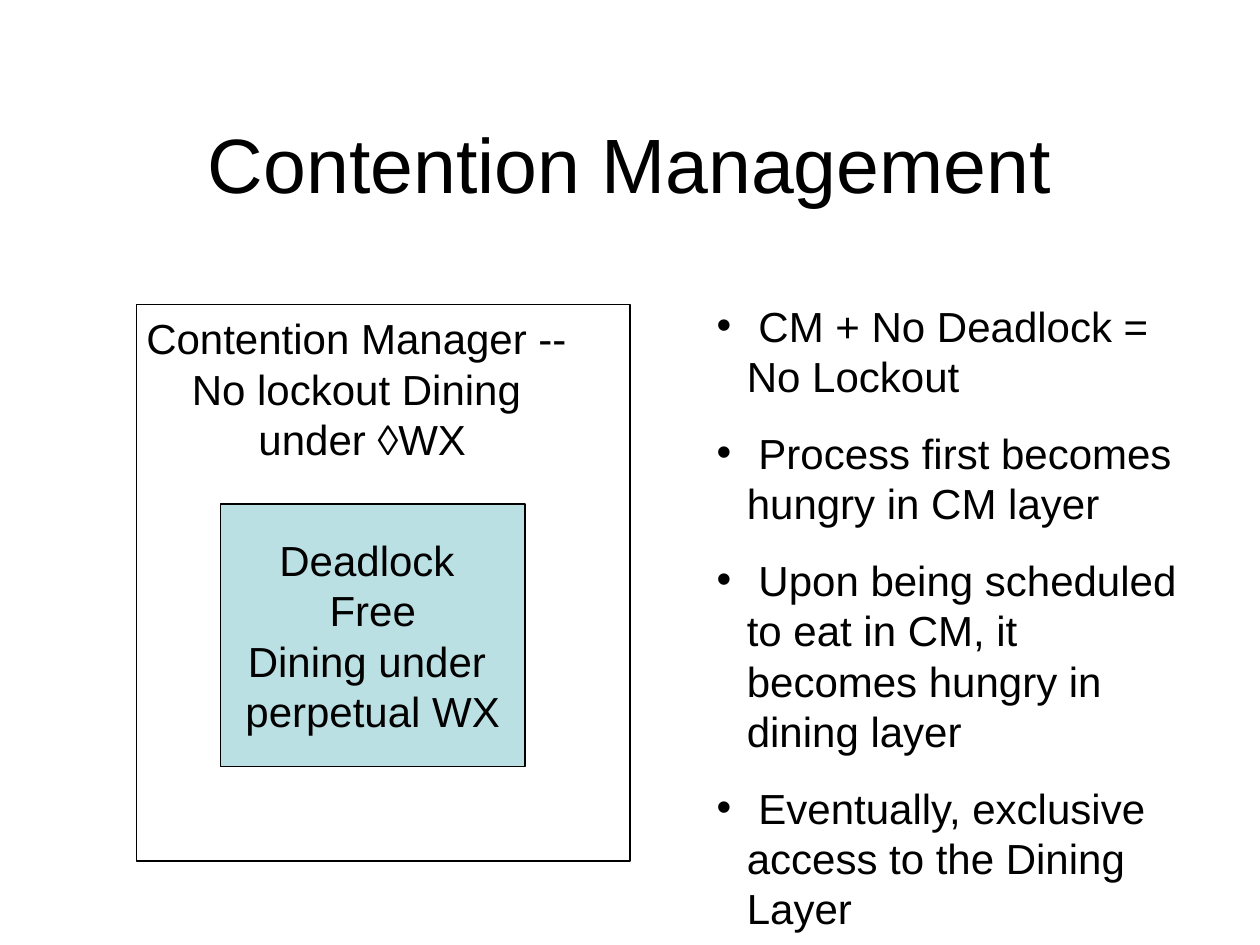
from lxml import etree
from pptx import Presentation
from pptx import util as u
from pptx.dml.color import RGBColor
from pptx.enum import shapes, text
from pptx.oxml.ns import qn

PX = 9525
COLORS = {"ink": "000000", "layer": "BBE0E3"}


def px(*lengths):
    return [u.Emu(length * PX) for length in lengths]


def rgb(name):
    return RGBColor.from_string(COLORS[name])


def write(frame, lines, size=24, align="CENTER", anchor="MIDDLE",
          wrap=False, side=10, bullet=None, indent=0, gap=0):
    frame.word_wrap = wrap
    frame.vertical_anchor = getattr(text.MSO_ANCHOR, anchor)
    frame.margin_left, frame.margin_right = px(side, side)
    for number, line in enumerate(lines):
        paragraph = frame.add_paragraph() if number else frame.paragraphs[0]
        paragraph.alignment = getattr(text.PP_ALIGN, align)
        if number and gap:
            paragraph.space_before = u.Pt(gap)
        if bullet:
            props = paragraph._p.get_or_add_pPr()
            props.set("marL", str(indent * PX))
            props.set("indent", str(-indent * PX))
            color = etree.SubElement(props, qn("a:buClr"))
            etree.SubElement(color, qn("a:srgbClr"), val=COLORS["ink"])
            etree.SubElement(props, qn("a:buFont"), typeface="Arial")
            etree.SubElement(props, qn("a:buChar"), char=bullet)
        run = paragraph.add_run()
        run.text = line
        run.font.name = "Arial"
        run.font.size = u.Pt(size)
        run.font.color.rgb = rgb("ink")


class Board:
    def __init__(self, slide, line_width=0.75):
        self.slide = slide
        self.line_width = line_width

    def label(self, box, lines, **style):
        write(self.slide.shapes.add_textbox(*px(*box)).text_frame, lines, **style)

    def rectangle(self, box, fill=None, lines=(), **style):
        rect = self.slide.shapes.add_shape(shapes.MSO_SHAPE.RECTANGLE, *px(*box))
        rect.shadow.inherit = False
        rect.line.color.rgb = rgb("ink")
        rect.line.width = u.Pt(self.line_width)
        if fill:
            rect.fill.solid()
            rect.fill.fore_color.rgb = rgb(fill)
        else:
            rect.fill.background()
        write(rect.text_frame, lines, **style)


def main():
    deck = Presentation()
    deck.slide_width, deck.slide_height = px(960, 720)
    board = Board(deck.slides.add_slide(deck.slide_layouts[6]))

    board.label((72, 64, 816, 120), ["Contention Management"], size=44, wrap=True)
    board.rectangle((104, 232, 376, 424))
    board.rectangle((168, 384, 232, 200), "layer",
                    ["Deadlock ", "Free", "Dining under ", "perpetual WX"])
    board.label((108, 264, 336, 64),
                ["Contention Manager -- ", "No lockout Dining ", "under ◊WX"],
                side=0)
    board.label((536, 224, 384, 454),
                [" CM + No Deadlock = No Lockout",
                 " Process first becomes hungry in CM layer",
                 " Upon being scheduled to eat in CM, it becomes hungry in dining layer",
                 " Eventually, exclusive access to the Dining Layer"],
                align="LEFT", anchor="TOP", wrap=True,
                bullet="•", indent=23, gap=15)

    deck.save("out.pptx")


if __name__ == "__main__":
    main()
